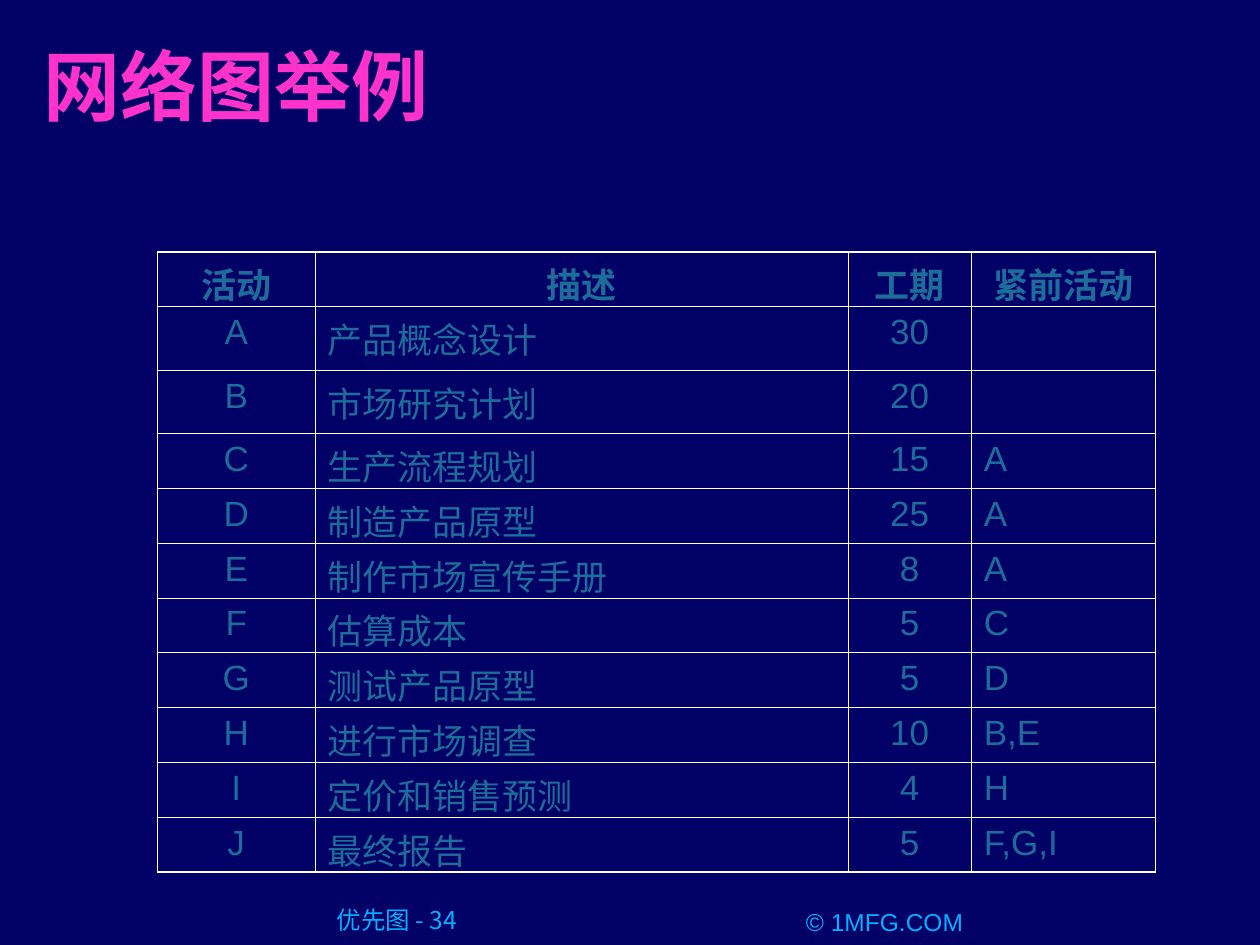
from dataclasses import dataclass

from lxml import etree
from pptx import Presentation, util as u
from pptx.dml import color
from pptx.enum import text
from pptx.oxml import ns

BACKGROUND = "000066"
TITLE_COLOUR = "FF33CC"
FOOTER_COLOUR = "01B0FF"
TABLE_COLOUR = "1C6D9A"
BORDER_COLOUR = "FFFFFF"
INNER_BORDER, OUTER_BORDER = 0.45, 1.08
COLUMN_WIDTHS = (90, 304.5, 70.5, 105.25)
HEADER_HEIGHT = ROW_HEIGHT = 31.35
FIRST_ACTIVITY_HEIGHT = 36.2
HEADINGS = ("活动", "描述", "工期", "紧前活动")
CENTRED_COLUMNS = (0, 2)


@dataclass(frozen=True)
class Activity:
    name: str
    description: str
    duration: int
    predecessors: str = ""


@dataclass(frozen=True)
class Label:
    words: str
    left: float
    top: float
    width: float
    height: float
    insets: tuple
    size: float
    colour: str
    font: str = "Arial"
    bold: bool = False
    alignment: text.PP_ALIGN = text.PP_ALIGN.CENTER
    anchor: text.MSO_ANCHOR = text.MSO_ANCHOR.TOP


ACTIVITIES = (
    Activity("A", "产品概念设计", 30),
    Activity("B", "市场研究计划", 20),
    Activity("C", "生产流程规划", 15, "A"),
    Activity("D", "制造产品原型", 25, "A"),
    Activity("E", "制作市场宣传手册", 8, "A"),
    Activity("F", "估算成本", 5, "C"),
    Activity("G", "测试产品原型", 5, "D"),
    Activity("H", "进行市场调查", 10, "B,E"),
    Activity("I", "定价和销售预测", 4, "H"),
    Activity("J", "最终报告", 5, "F,G,I"),
)

LABELS = (
    Label("优先图 - 34", 144.75, 517, 149.75, 19.5, (14.4, 0, 0, 0), 14,
          FOOTER_COLOUR, font="Noto Sans CJK JP"),
    Label("© 1MFG.COM", 424.5, 518.5, 162, 16.5, (0, 0, 0, 0), 14,
          FOOTER_COLOUR),
    Label("网络图举例", 18, 18, 684, 60.5, (7.2, 3.6, 7.2, 3.6), 44,
          TITLE_COLOUR, bold=True, alignment=text.PP_ALIGN.LEFT,
          anchor=text.MSO_ANCHOR.BOTTOM),
)


def colour_of(code: str) -> color.RGBColor:
    return color.RGBColor.from_string(code)


def write_text(frame, words: str, *, size: float, colour: str,
               font: str = "Arial", bold: bool = False,
               alignment=text.PP_ALIGN.LEFT) -> None:
    paragraph = frame.paragraphs[0]
    paragraph.alignment = alignment
    if not words:
        return
    run = paragraph.add_run()
    run.text = words
    run.font.name = font
    run.font.size = u.Pt(size)
    run.font.bold = bold
    run.font.color.rgb = colour_of(colour)


def add_label(slide, label: Label) -> None:
    box = slide.shapes.add_textbox(
        u.Pt(label.left), u.Pt(label.top), u.Pt(label.width), u.Pt(label.height))
    frame = box.text_frame
    frame.word_wrap = True
    frame.vertical_anchor = label.anchor
    (frame.margin_left, frame.margin_top,
     frame.margin_right, frame.margin_bottom) = map(u.Pt, label.insets)
    write_text(frame, label.words, size=label.size, colour=label.colour,
               font=label.font, bold=label.bold, alignment=label.alignment)


def set_borders(cell, widths: dict[str, float]) -> None:
    properties = cell._tc.get_or_add_tcPr()
    for position, (side, width) in enumerate(widths.items()):
        line = etree.Element(ns.qn(f"a:{side}"), w=str(int(u.Pt(width))))
        fill = etree.SubElement(line, ns.qn("a:solidFill"))
        etree.SubElement(fill, ns.qn("a:srgbClr"), val=BORDER_COLOUR)
        properties.insert(position, line)


def border_width(outer: bool) -> float:
    return OUTER_BORDER if outer else INNER_BORDER


def add_activity_table(slide, left: float, top: float) -> None:
    rows = [HEADINGS] + [
        (activity.name, activity.description, str(activity.duration),
         activity.predecessors) for activity in ACTIVITIES]
    heights = [HEADER_HEIGHT] + [
        ROW_HEIGHT if activity.predecessors else FIRST_ACTIVITY_HEIGHT
        for activity in ACTIVITIES]
    table = slide.shapes.add_table(
        len(rows), len(HEADINGS), u.Pt(left), u.Pt(top),
        u.Pt(sum(COLUMN_WIDTHS)), u.Pt(sum(heights))).table
    table.first_row = table.horz_banding = False
    for column, width in zip(table.columns, COLUMN_WIDTHS):
        column.width = u.Pt(width)
    for row_index, (values, height) in enumerate(zip(rows, heights)):
        table.rows[row_index].height = u.Pt(height)
        header = row_index == 0
        for column_index, words in enumerate(values):
            cell = table.cell(row_index, column_index)
            cell.fill.background()
            if header:
                cell.vertical_anchor = text.MSO_ANCHOR.BOTTOM
            centred = header or column_index in CENTRED_COLUMNS
            write_text(cell.text_frame, words, size=20, colour=TABLE_COLOUR,
                       bold=header, alignment=text.PP_ALIGN.CENTER
                       if centred else text.PP_ALIGN.LEFT)
            set_borders(cell, {
                "lnL": border_width(column_index == 0),
                "lnR": border_width(column_index == len(HEADINGS) - 1),
                "lnT": border_width(header),
                "lnB": border_width(row_index == len(rows) - 1),
            })


def main() -> None:
    presentation = Presentation()
    presentation.slide_width, presentation.slide_height = u.Pt(720), u.Pt(540)
    slide = presentation.slides.add_slide(presentation.slide_layouts[6])
    slide.background.fill.solid()
    slide.background.fill.fore_color.rgb = colour_of(BACKGROUND)
    for label in LABELS:
        add_label(slide, label)
    add_activity_table(slide, 90, 144)
    presentation.save("out.pptx")


if __name__ == "__main__":
    main()
